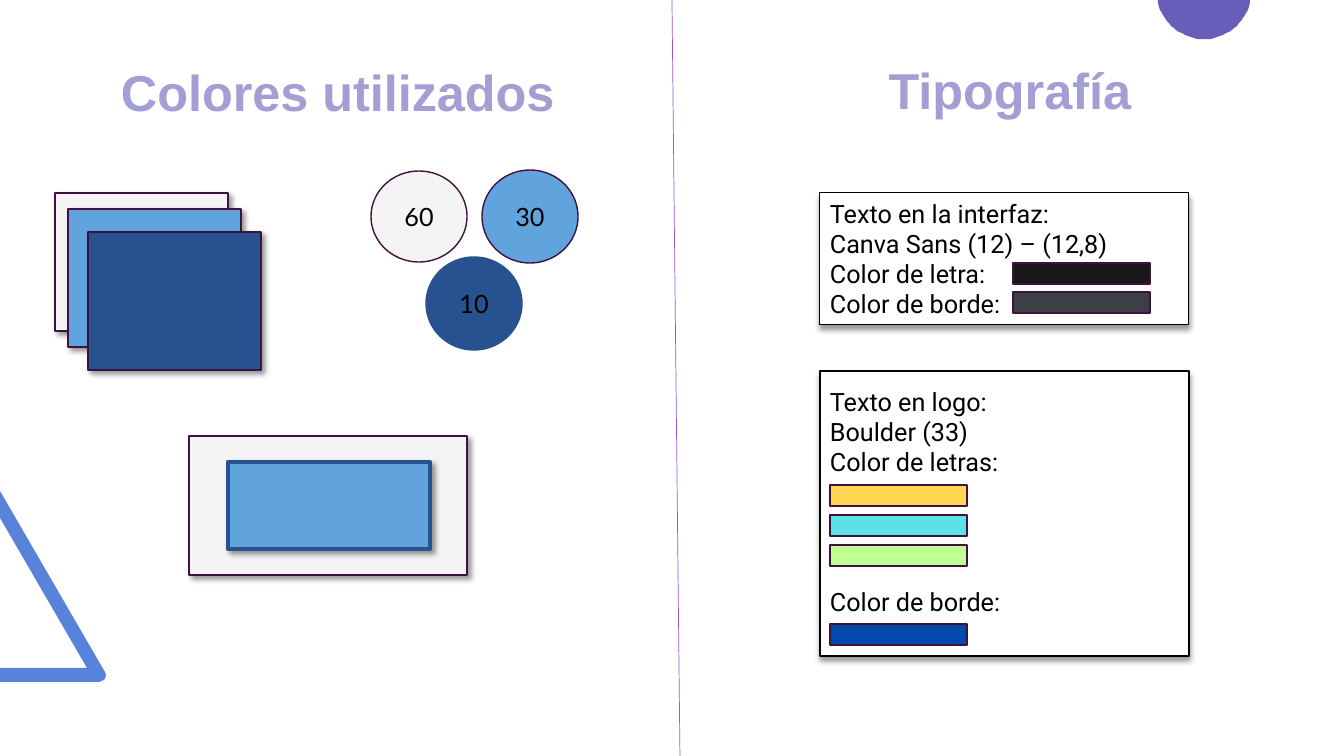
from math import cos, radians, sin

from lxml import etree
from pptx import Presentation
from pptx import util as u
from pptx.dml.color import RGBColor
from pptx.enum import shapes, text
from pptx.oxml.ns import qn

PX = u.Inches(1) / 100.8
HUES = {
    "pale": "F4F4F4", "sky": "61A3DD", "navy": "28518F", "plum": "40113F",
    "lilac": "A39ED4", "violet": "665EB8", "blue": "5982DB", "rule": "9B57D3",
    "black": "000000", "white": "FFFFFF", "ink": "171717", "slate": "3C3F46",
    "gold": "FFD753", "aqua": "5CE1E6", "lime": "C0FF91", "royal": "004AAD",
}
KINDS = shapes.MSO_SHAPE
MID = text.MSO_ANCHOR.MIDDLE
CENTER = text.PP_ALIGN.CENTER


def emu(px):
    return u.Emu(round(px * PX))


def hue(name):
    return RGBColor.from_string(HUES[name])


def write(frame, *lines, font="Roboto", size=18, color="black", bold=False,
          align=text.PP_ALIGN.LEFT, anchor=text.MSO_ANCHOR.TOP):
    frame.word_wrap = True
    frame.vertical_anchor = anchor
    for i, line in enumerate(lines):
        para = frame.paragraphs[0] if i == 0 else frame.add_paragraph()
        para.alignment = align
        run = para.add_run()
        run.text = line
        run.font.name = font
        run.font.size = u.Pt(size)
        run.font.bold = bold
        run.font.color.rgb = hue(color)


class Board:
    def __init__(self, slide):
        self.items = slide.shapes

    def paint(self, shape, fill, line=None, width=1):
        shape.shadow.inherit = False
        shape.fill.solid()
        shape.fill.fore_color.rgb = hue(fill)
        if line:
            shape.line.color.rgb = hue(line)
            shape.line.width = u.Pt(width)
        else:
            shape.line.fill.background()

    def shape(self, box, fill, line="plum", width=1, kind=KINDS.RECTANGLE, shade=None):
        item = self.items.add_shape(kind, *map(emu, box))
        self.paint(item, fill, line, width)
        if shade is not None:
            self.shade(item, shade)
        return item

    def shade(self, item, angle):
        effects = item._element.spPr.find(qn("a:effectLst"))
        outer = etree.SubElement(
            effects, qn("a:outerShdw"), blurRad=str(u.Pt(4)), dist=str(u.Pt(3)),
            dir=str(angle * 60000), algn="tl", rotWithShape="0")
        color = etree.SubElement(outer, qn("a:srgbClr"), val=HUES["black"])
        etree.SubElement(color, qn("a:alpha"), val="40000")

    def outline(self, points, fill):
        build = self.items.build_freeform(*points[0], scale=PX)
        build.add_line_segments(points[1:], close=True)
        self.paint(build.convert_to_shape(), fill)

    def label(self, box, *lines, **style):
        write(self.items.add_textbox(*map(emu, box)).text_frame, *lines, **style)

    def title(self, box, words):
        self.label(box, words, font="Arial", size=36, color="lilac", bold=True,
                   align=CENTER, anchor=MID)

    def disc(self, box, words, fill, line):
        item = self.shape(box, fill, line, kind=KINDS.OVAL)
        write(item.text_frame, words, font="Lato", align=CENTER, anchor=MID)

    def swatch(self, left, top, fill):
        self.shape((left, top, 137, 21), fill)

    def rule(self, start, end, color, width):
        line = self.items.add_connector(
            shapes.MSO_CONNECTOR.STRAIGHT, *map(emu, (*start, *end)))
        line.line.color.rgb = hue(color)
        line.line.width = u.Pt(width)
        etree.SubElement(line._element.spPr, qn("a:effectLst"))


def main():
    deck = Presentation()
    deck.slide_width, deck.slide_height = emu(1344), emu(756)
    board = Board(deck.slides.add_slide(deck.slide_layouts[6]))

    board.outline([(0, 682), (0, 668), (87, 668), (0, 518), (0, 491), (105, 672),
                   (106, 675), (105, 679), (102, 681), (99, 682)], "blue")
    board.outline([(1204 + 47 * cos(radians(a)), -8 + 47 * sin(radians(a)))
                   for a in range(10, 171, 4)], "violet")

    board.title((98, 55, 480, 72), "Colores utilizados")
    board.title((851, 51, 318, 76), "Tipografía")
    board.rule((672, 0), (680, 756), "rule", 0.5)

    for left, top, fill in ((55, 193, "pale"), (68, 209, "sky"), (88, 232, "navy")):
        board.shape((left, top, 173, 138), fill, shade=45)
    for left, top, high, words, fill, line in (
            (371, 171, 91, "60", "pale", "plum"),
            (482, 170, 93, "30", "sky", "plum"),
            (426, 257, 93, "10", "navy", "navy")):
        board.disc((left, top, 96, high), words, fill, line)
    board.shape((189, 436, 278, 139), "pale", shade=45)
    board.shape((228, 462, 202, 87), "sky", "navy", 3, shade=45)

    face = board.shape((820, 193, 369, 132), "white", "black", 0.75, shade=90)
    write(face.text_frame, "Texto en la interfaz:", "Canva Sans (12) – (12,8)",
          "Color de letra:", "Color de borde:")
    board.swatch(1013, 263, "ink")
    board.swatch(1013, 292, "slate")

    board.shape((820, 371, 369, 285), "white", "black", shade=90)
    board.label((820, 381, 201, 132), "Texto en logo:", "Boulder (33)", "Color de letras:")
    for i, fill in enumerate(("gold", "aqua", "lime")):
        board.swatch(830, 485 + 30 * i, fill)
    board.label((820, 581, 369, 40), "Color de borde:")
    board.swatch(830, 624, "royal")

    deck.save("out.pptx")


if __name__ == "__main__":
    main()
